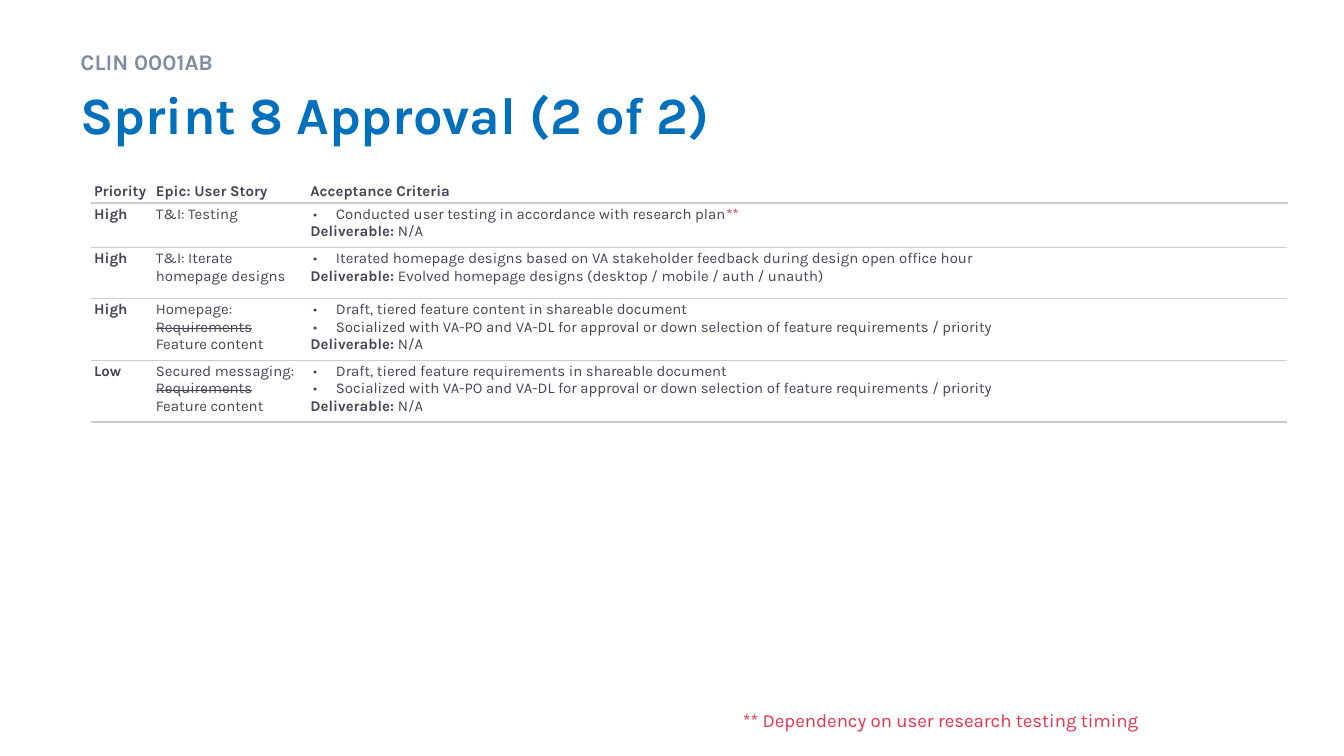
import pptx
import pptx.dml.color
import pptx.enum.text
import pptx.oxml
import pptx.oxml.ns
import pptx.util
from dataclasses import dataclass

Inches = pptx.util.Inches
Anchor = pptx.enum.text.MSO_ANCHOR


@dataclass(frozen=True)
class Theme:
    font: str = "Karla"
    title: str = "0070BC"
    label: str = "7F8EA3"
    body: str = "454454"
    alert: str = "E9304D"
    rule: str = "CCCCCC"
    paper: str = "FFFFFF"
    title_size: float = 28
    label_size: float = 12
    note_size: float = 10
    table_size: float = 8


THEME = Theme()

SLIDE_WIDTH = 10
SLIDE_HEIGHT = SLIDE_WIDTH * 9 / 16

HEADINGS = ["Priority", "Epic: User Story", "Acceptance Criteria"]
COLUMN_WIDTHS = [0.46, 1.15, 7.29]
ROW_HEIGHTS = [0.18, 0.33, 0.38, 0.46, 0.46]
SOCIALIZED = ("Socialized with VA-PO and VA-DL for approval or down selection "
              "of feature requirements / priority")

# Priority, story as (before, struck, after), criteria, deliverable.
# A trailing ** marks a dependency.
STORIES = [
    ("High", ("T&I: Testing", "", ""),
     ["Conducted user testing in accordance with research plan**"], "N/A"),
    ("High", ("T&I: Iterate homepage designs", "", ""),
     ["Iterated homepage designs based on VA stakeholder feedback "
      "during design open office hour"],
     "Evolved homepage designs (desktop / mobile / auth / unauth)"),
    ("High", ("Homepage: ", "Requirements", " Feature content"),
     ["Draft, tiered feature content in shareable document", SOCIALIZED], "N/A"),
    ("Low", ("Secured messaging: ", "Requirements", " Feature content"),
     ["Draft, tiered feature requirements in shareable document", SOCIALIZED],
     "N/A"),
]


def write(paragraph, text, size=THEME.table_size, color=THEME.body,
          bold=False, strike=False):
    """Append one formatted run."""
    run = paragraph.add_run()
    run.text = text
    run.font.name = THEME.font
    run.font.size = pptx.util.Pt(size)
    run.font.bold = bold
    run.font.color.rgb = pptx.dml.color.RGBColor.from_string(color)
    if strike:
        run.font._element.set("strike", "sngStrike")


def add_text(slide, text, left, top, width, height, inset=0.05, spacing=None,
             **text_format):
    frame = slide.shapes.add_textbox(
        Inches(left), Inches(top), Inches(width), Inches(height)).text_frame
    frame.word_wrap = True
    frame.margin_left = frame.margin_right = Inches(0.1)
    frame.margin_top = frame.margin_bottom = Inches(inset)
    paragraph = frame.paragraphs[0]
    if spacing:
        paragraph.line_spacing = spacing
    write(paragraph, text, **text_format)


def add_bullet(paragraph):
    properties = paragraph._p.get_or_add_pPr()
    properties.set("marL", str(Inches(0.19)))
    properties.set("indent", str(Inches(-0.17)))
    namespace = pptx.oxml.ns.nsdecls("a")
    for bullet_part in (
            f'<a:buClr {namespace}><a:srgbClr val="{THEME.body}"/></a:buClr>',
            f'<a:buFont {namespace} typeface="{THEME.font}"/>',
            f'<a:buChar {namespace} char="•"/>'):
        properties.append(pptx.oxml.parse_xml(bullet_part))


def set_borders(cell, **colors):
    """Draw the sides named in colors; leave the other sides without a line."""
    properties = cell._tc.get_or_add_tcPr()
    namespace = pptx.oxml.ns.nsdecls("a")
    for position, side in enumerate("LRTB"):
        color = colors.get(side)
        fill = (f'<a:solidFill><a:srgbClr val="{color}"/></a:solidFill>'
                if color else "<a:noFill/>")
        border = pptx.oxml.parse_xml(
            f'<a:ln{side} {namespace} w="{pptx.util.Pt(0.75)}">{fill}</a:ln{side}>')
        properties.insert(position, border)


def style_cell(cell, is_heading):
    cell.margin_left = cell.margin_right = Inches(0.02)
    cell.margin_top = cell.margin_bottom = Inches(0.02)
    cell.vertical_anchor = Anchor.BOTTOM if is_heading else Anchor.TOP
    cell.fill.background()
    if is_heading:
        set_borders(cell, L=THEME.paper, R=THEME.paper, T=THEME.paper, B=THEME.rule)
    else:
        set_borders(cell, T=THEME.rule, B=THEME.rule)


def write_criteria(frame, criteria, deliverable):
    paragraph = frame.paragraphs[0]
    for criterion in criteria:
        add_bullet(paragraph)
        wording, mark, _ = criterion.partition("**")
        write(paragraph, wording)
        if mark:
            write(paragraph, mark, color=THEME.alert)
        paragraph = frame.add_paragraph()
    write(paragraph, "Deliverable:", bold=True)
    write(paragraph, " " + deliverable)


def add_story_table(slide):
    table = slide.shapes.add_table(
        len(ROW_HEIGHTS), len(COLUMN_WIDTHS), Inches(0.68), Inches(1.33),
        Inches(sum(COLUMN_WIDTHS)), Inches(sum(ROW_HEIGHTS))).table
    table.first_row = table.horz_banding = False
    for column, width in zip(table.columns, COLUMN_WIDTHS):
        column.width = Inches(width)
    for index, height in enumerate(ROW_HEIGHTS):
        table.rows[index].height = Inches(height)
        for cell in table.rows[index].cells:
            style_cell(cell, is_heading=index == 0)

    # Heading row
    for cell, heading in zip(table.rows[0].cells, HEADINGS):
        write(cell.text_frame.paragraphs[0], heading, bold=True)

    # One row for each story
    for index, (priority, story, criteria, deliverable) in enumerate(STORIES, 1):
        priority_cell, story_cell, criteria_cell = table.rows[index].cells
        write(priority_cell.text_frame.paragraphs[0], priority, bold=True)
        for part, struck in zip(story, (False, True, False)):
            if part:
                write(story_cell.text_frame.paragraphs[0], part, strike=struck)
        write_criteria(criteria_cell.text_frame, criteria, deliverable)


def main():
    deck = pptx.Presentation()
    deck.slide_width = Inches(SLIDE_WIDTH)
    deck.slide_height = Inches(SLIDE_HEIGHT)
    slide = deck.slides.add_slide(deck.slide_layouts[6])

    # Heading
    add_text(slide, "CLIN 0001AB", 0.5, 0.27, 9, 0.29, spacing=1.2,
             size=THEME.label_size, color=THEME.label, bold=True)
    add_text(slide, "Sprint 8 Approval (2 of 2)", 0.5, 0.56, 9, 0.69,
             size=THEME.title_size, color=THEME.title, bold=True)

    # Stories and their acceptance criteria
    add_story_table(slide)

    # Footnote
    add_text(slide, "** Dependency on user research testing timing",
             5.43, 5.19, 4.17, 0.37, inset=0.1,
             size=THEME.note_size, color=THEME.alert)

    deck.save("out.pptx")


if __name__ == "__main__":
    main()
